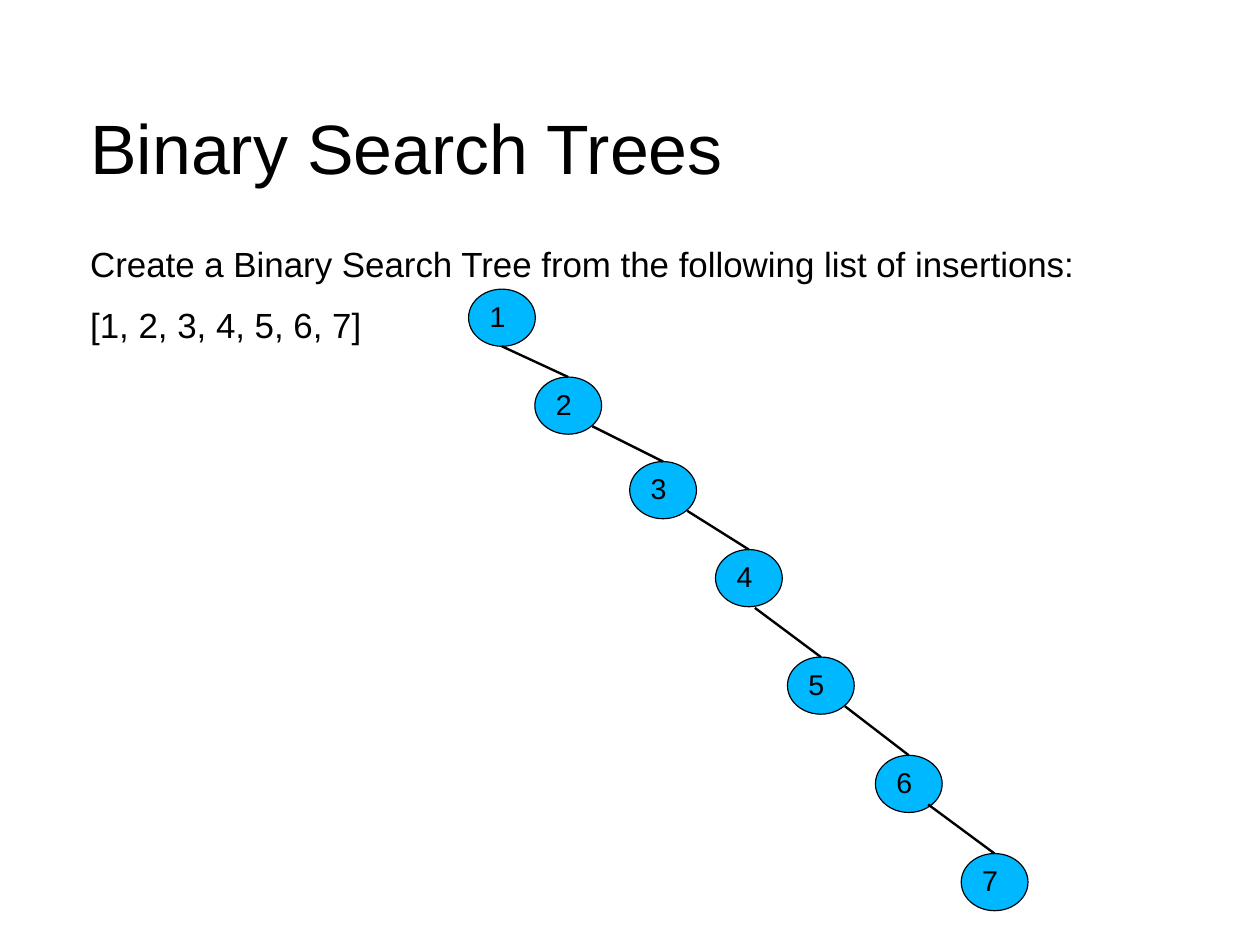
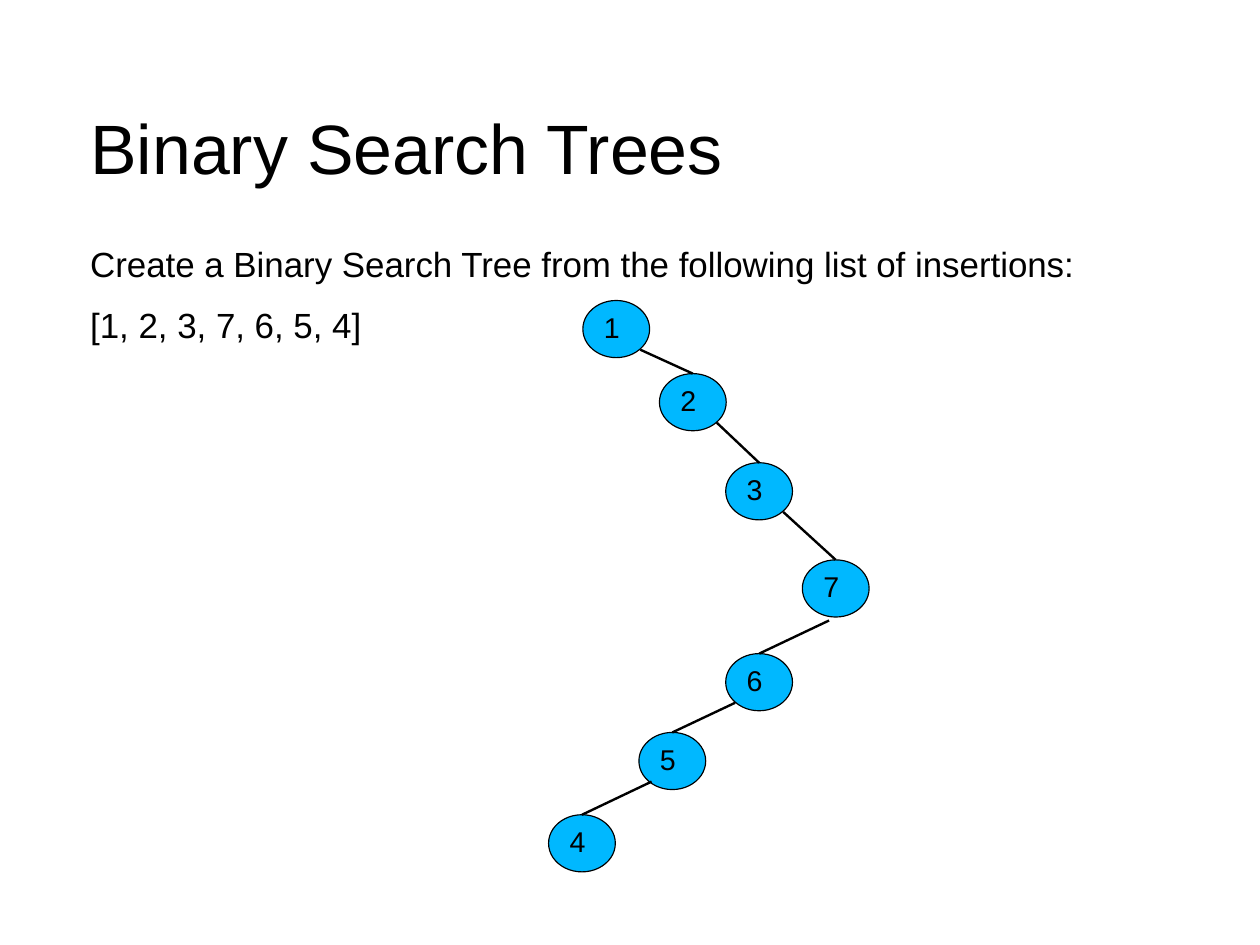
from itertools import pairwise

from lxml.etree import SubElement
from pptx import Presentation
from pptx.dml.color import RGBColor
from pptx.enum.shapes import MSO_CONNECTOR, MSO_SHAPE
from pptx.enum.text import MSO_ANCHOR, PP_ALIGN
from pptx.oxml.ns import qn
from pptx.util import Emu, Inches, Pt

# Shared style
W, H = Emu(10080625), Emu(7559675)
FONT, BLACK, BLUE, WHITE = "Arial", "000000", "00B8FF", "FFFFFF"
TITLE = "Binary Search Trees"
TASK = "Create a Binary Search Tree from the following list of insertions:"

# Boxes in percent of the slide: left, top, width, height
TITLE_BOX = (7.16, 7.5, 83.91, 16.57)
BODY_BOX = (7.16, 25.78, 87.81, 63.6)
NODE_SIZE = (5.3, 6.05)

# Where an edge leaves a node, in shares of the node
RIGHT, LEFT, BOTTOM = (0.86, 0.86), (0.14, 0.86), (0.5, 1)

# Nodes in insertion order: key, left and top in percent, edge exit
TREES = [
    [(1, 37.19, 30.6, BOTTOM), (2, 42.45, 39.9, RIGHT),
     (3, 49.98, 48.85, RIGHT), (4, 56.79, 58.16, (0.59, 1.02)),
     (5, 62.5, 69.53, RIGHT), (6, 69.48, 79.93, (0.79, 0.86)),
     (7, 76.29, 90.33, None)],
    [(1, 46.26, 31.8, RIGHT), (2, 52.34, 39.54, RIGHT),
     (3, 57.6, 48.97, RIGHT), (7, 63.68, 59.25, (0.4, 1.06)),
     (6, 57.6, 69.17, LEFT), (5, 50.71, 77.51, (0.19, 0.86)),
     (4, 43.54, 86.22, None)],
]


def rgb(color):
    return RGBColor.from_string(color)


def place(left, top, width, height):
    return [Emu(round(share * side / 100)) for share, side in
            ((left, W), (top, H), (width, W), (height, H))]


def write(p, text, size, after=0):
    p.alignment = PP_ALIGN.LEFT
    p.line_spacing = 0.93
    p.space_after = Pt(after)
    r = p.add_run()
    r.text = text
    r.font.name, r.font.size = FONT, Pt(size)
    r.font.color.rgb = rgb(BLACK)


def add_box(s, box, inset, anchor):
    tf = s.shapes.add_textbox(*place(*box)).text_frame
    tf.word_wrap = True
    tf.margin_left = tf.margin_right = tf.margin_bottom = 0
    tf.margin_top = Inches(inset)
    tf.vertical_anchor = anchor
    return tf


def add_node(group, key, left, top):
    sp = group.shapes.add_shape(MSO_SHAPE.OVAL, *place(left, top, *NODE_SIZE))
    sp.shadow.inherit = False
    sp.fill.solid()
    sp.fill.fore_color.rgb = rgb(BLUE)
    sp.line.color.rgb = rgb(BLACK)
    sp.line.width = Pt(0.75)
    sp.text_frame.vertical_anchor = MSO_ANCHOR.MIDDLE
    write(sp.text_frame.paragraphs[0], str(key), 18)
    return sp


def add_edge(group, parent, child, leave):
    x = Emu(round(parent.left + leave[0] * parent.width))
    y = Emu(round(parent.top + leave[1] * parent.height))
    cx = group.shapes.add_connector(
        MSO_CONNECTOR.STRAIGHT, x, y, child.left + child.width // 2, child.top)
    cx.end_connect(child, 0)
    cx.line.color.rgb = rgb(BLACK)
    cx.line.width = Pt(1.5)
    SubElement(cx.element.spPr, qn("a:effectLst"))


def add_tree(s, tree):
    group = s.shapes.add_group_shape()
    nodes = [add_node(group, key, left, top) for key, left, top, _ in tree]
    for (parent, child), (*_, leave) in zip(pairwise(nodes), tree):
        add_edge(group, parent, child, leave)


def add_slide(prs, tree):
    s = prs.slides.add_slide(prs.slide_layouts[6])
    s.background.fill.solid()
    s.background.fill.fore_color.rgb = rgb(WHITE)
    # Title
    tf = add_box(s, TITLE_BOX, 0.04, MSO_ANCHOR.MIDDLE)
    write(tf.paragraphs[0], TITLE, 44)
    # Task and its list of keys
    tf = add_box(s, BODY_BOX, 0.02, MSO_ANCHOR.TOP)
    write(tf.paragraphs[0], TASK, 22, 14.2)
    p = tf.add_paragraph()
    pPr = p._p.get_or_add_pPr()
    pPr.set("marL", str(Inches(0.38)))
    pPr.set("indent", str(-Inches(0.38)))
    write(p, str([key for key, *_ in tree]), 22, 14.2)
    add_tree(s, tree)


def main():
    prs = Presentation()
    prs.slide_width, prs.slide_height = W, H
    for tree in TREES:
        add_slide(prs, tree)
    prs.save("out.pptx")


if __name__ == "__main__":
    main()
